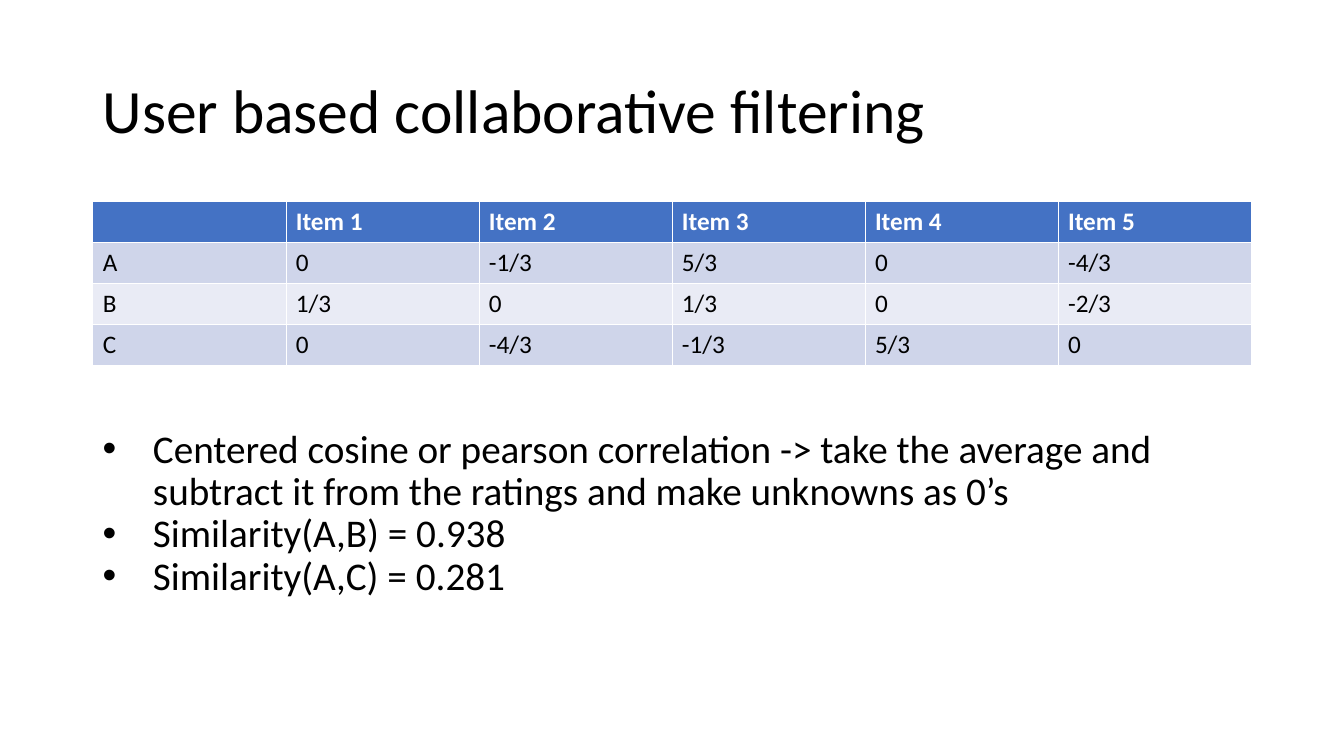
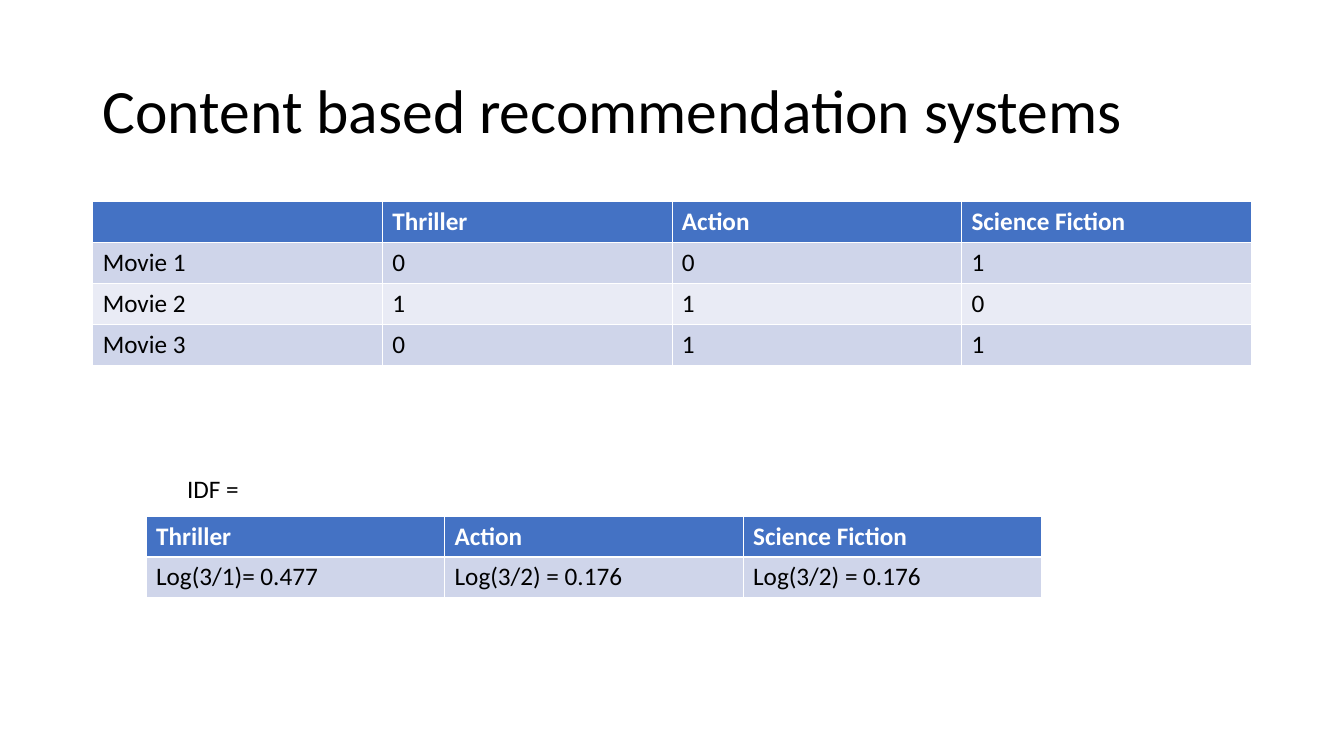
from dataclasses import dataclass

from lxml import etree
from pptx import Presentation
from pptx import util as u
from pptx.dml.color import RGBColor
from pptx.enum import text
from pptx.oxml import ns


@dataclass(frozen=True)
class Theme:
    font: str = "Calibri"
    title_size: int = 44
    body_size: int = 28
    small_size: int = 18
    ink: str = "000000"
    paper: str = "FFFFFF"
    header: str = "4472C4"
    bands: tuple[str, str] = ("CFD5EA", "E9EBF5")
    thin_border: float = 0.45
    header_border: float = 1.47


@dataclass(frozen=True)
class Box:
    """A place on the slide, in percent of its width and height."""
    left: float
    top: float
    width: float
    height: float

    def lengths(self) -> tuple[int, int, int, int]:
        return (share(WIDTH, self.left), share(HEIGHT, self.top),
                share(WIDTH, self.width), share(HEIGHT, self.height))


@dataclass(frozen=True)
class Grid:
    left: float
    top: float
    width: float
    rows: list[list[str]]


THEME = Theme()
WIDTH, HEIGHT = u.Inches(13.34), u.Inches(7.5)
MARGIN, CONTENT = 6.9, 86.2
TABLE_TOP, ROW_HEIGHT = 26.67, 5.4
TITLE_BOX = Box(MARGIN, 5.33, CONTENT, 19.33)
BULLET_BOX = Box(MARGIN, 51.73, CONTENT, 38.27)
IDF_BOX = Box(13.19, 62, 5.77, 5.33)
BULLET_INDENT = u.Inches(0.5)

CENTERED_RATINGS = Grid(MARGIN, TABLE_TOP, CONTENT, [
    ["", "Item 1", "Item 2", "Item 3", "Item 4", "Item 5"],
    ["A", "0", "-1/3", "5/3", "0", "-4/3"],
    ["B", "1/3", "0", "1/3", "0", "-2/3"],
    ["C", "0", "-4/3", "-1/3", "5/3", "0"],
])
MOVIE_GENRES = Grid(MARGIN, TABLE_TOP, CONTENT, [
    ["", "Thriller", "Action", "Science Fiction"],
    ["Movie 1", "0", "0", "1"],
    ["Movie 2", "1", "1", "0"],
    ["Movie 3", "0", "1", "1"],
])
GENRE_IDF = Grid(10.87, 68.27, 66.64, [
    ["Thriller", "Action", "Science Fiction"],
    ["Log(3/1)= 0.477", "Log(3/2) = 0.176", "Log(3/2) = 0.176"],
])
SIMILARITY_NOTES = [
    "Centered cosine or pearson correlation -> take the average and "
    "subtract it from the ratings and make unknowns as 0’s",
    "Similarity(A,B) = 0.938",
    "Similarity(A,C) = 0.281",
]


def share(whole: int, percent: float) -> int:
    return round(whole * percent / 100)


def style_paragraph(paragraph, size: int, color: str = THEME.ink, bold: bool = False) -> None:
    font = paragraph.font
    font.name, font.size, font.bold = THEME.font, u.Pt(size), bold
    font.color.rgb = RGBColor.from_string(color)


def add_text(slide, box: Box, lines: list[str], size: int, wrap: bool = True):
    """Add a text box with one paragraph a line and return its frame."""
    frame = slide.shapes.add_textbox(*box.lengths()).text_frame
    frame.word_wrap = wrap
    frame.text = "\n".join(lines)
    for paragraph in frame.paragraphs:
        style_paragraph(paragraph, size)
    return frame


def add_title(slide, title: str) -> None:
    frame = add_text(slide, TITLE_BOX, [title], THEME.title_size)
    frame.vertical_anchor = text.MSO_ANCHOR.MIDDLE
    frame.paragraphs[0].line_spacing = 0.9


def add_bullets(slide, lines: list[str]) -> None:
    frame = add_text(slide, BULLET_BOX, lines, THEME.body_size)
    frame.vertical_anchor = text.MSO_ANCHOR.MIDDLE
    frame.margin_bottom = u.Inches(0.48)
    for paragraph in frame.paragraphs:
        paragraph.line_spacing = 0.9
        properties = paragraph._p.get_or_add_pPr()
        properties.set("marL", str(BULLET_INDENT))
        properties.set("indent", str(-BULLET_INDENT))
        bullet_font = etree.Element(ns.qn("a:buFont"), typeface="Arial")
        bullet = etree.Element(ns.qn("a:buChar"), char="•")
        default_font = properties.find(ns.qn("a:defRPr"))
        default_font.addprevious(bullet_font)
        default_font.addprevious(bullet)


def set_borders(cell, row: int) -> None:
    """Draw thin borders, with a heavier line under the header row."""
    properties = cell._tc.get_or_add_tcPr()
    heavy_side = {0: "lnB", 1: "lnT"}.get(row)
    for side in ("lnL", "lnR", "lnT", "lnB"):
        points = THEME.header_border if side == heavy_side else THEME.thin_border
        line = etree.SubElement(properties, ns.qn(f"a:{side}"), w=str(u.Pt(points)))
        fill = etree.SubElement(line, ns.qn("a:solidFill"))
        etree.SubElement(fill, ns.qn("a:srgbClr"), val=THEME.paper)


def add_grid(slide, grid: Grid) -> None:
    row_count, column_count = len(grid.rows), len(grid.rows[0])
    box = Box(grid.left, grid.top, grid.width, ROW_HEIGHT * row_count)
    table = slide.shapes.add_table(row_count, column_count, *box.lengths()).table
    for row, values in enumerate(grid.rows):
        is_header = row == 0
        background = THEME.header if is_header else THEME.bands[(row - 1) % 2]
        for column, value in enumerate(values):
            cell = table.cell(row, column)
            cell.text = value
            style_paragraph(cell.text_frame.paragraphs[0], THEME.small_size,
                            THEME.paper if is_header else THEME.ink, is_header)
            set_borders(cell, row)
            cell.fill.solid()
            cell.fill.fore_color.rgb = RGBColor.from_string(background)


def add_slide(presentation, title: str):
    slide = presentation.slides.add_slide(presentation.slide_layouts[6])
    add_title(slide, title)
    return slide


def main() -> None:
    presentation = Presentation()
    presentation.slide_width, presentation.slide_height = WIDTH, HEIGHT

    user_based = add_slide(presentation, "User based collaborative filtering")
    add_grid(user_based, CENTERED_RATINGS)
    add_bullets(user_based, SIMILARITY_NOTES)

    content_based = add_slide(presentation, "Content based recommendation systems")
    add_grid(content_based, MOVIE_GENRES)
    add_grid(content_based, GENRE_IDF)
    add_text(content_based, IDF_BOX, ["IDF ="], THEME.small_size, wrap=False)

    presentation.save("out.pptx")


if __name__ == "__main__":
    main()
